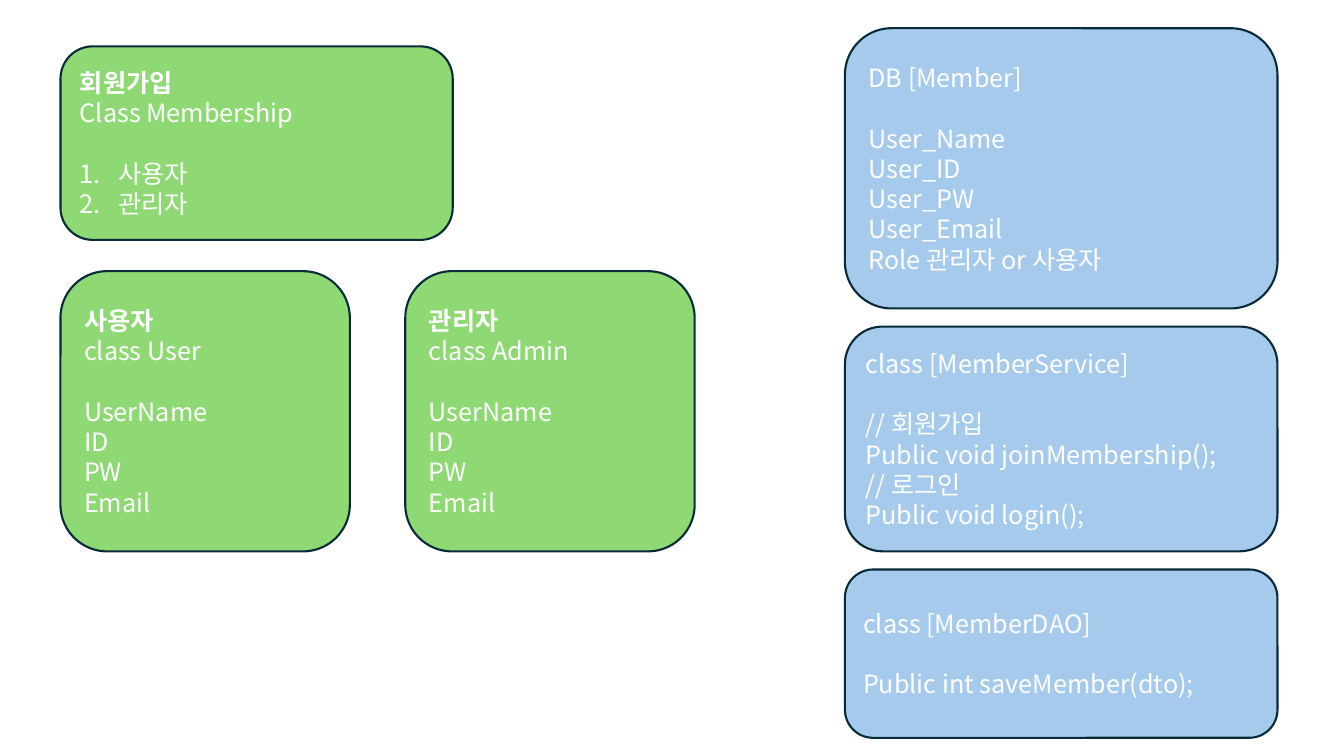
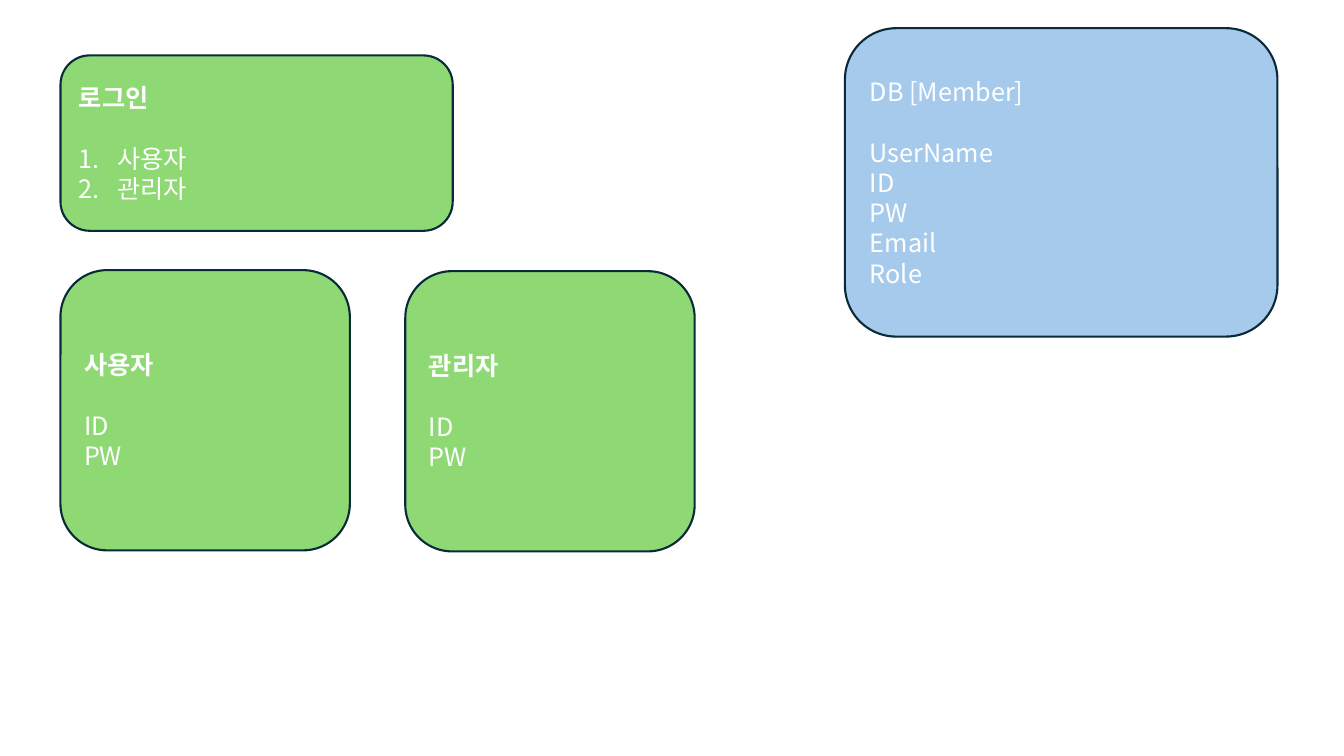
import pptx
import pptx.util
import pptx.dml.color
import pptx.enum.shapes
import pptx.enum.text
import pptx.oxml.ns
import lxml.etree
from dataclasses import dataclass

Inches = pptx.util.Inches
Pt = pptx.util.Pt
qn = pptx.oxml.ns.qn


@dataclass(frozen=True)
class Theme:
    green: str = "8ED973"
    blue: str = "A6CAEC"
    edge: str = "092A39"
    ink: str = "FFFFFF"
    font: str = "Noto Sans CJK KR"
    size: float = 18
    lead: float = 21.6
    border: float = 1.5
    indent: float = 0.38


THEME = Theme()

# Columns: left, width
WIDE = (0.6, 3.89)
USER = (0.6, 2.87)
ADMIN = (4.02, 2.87)
CODE = (8.38, 4.29)

# Card: column, top, height, fill, bold title, other head lines, body, numbered
ROLES = ["사용자", "관리자"]
LOGIN = ["ID", "PW"]
FIELDS = ["UserName", *LOGIN, "Email"]
SLIDES = [
    [
        (WIDE, 0.46, 1.92, THEME.green, "회원가입", ["Class Membership"], ROLES, True),
        (USER, 2.69, 2.78, THEME.green, "사용자", ["class User"], FIELDS, False),
        (ADMIN, 2.69, 2.78, THEME.green, "관리자", ["class Admin"], FIELDS, False),
        (CODE, 0.28, 2.78, THEME.blue, None, ["DB [Member]"],
         ["User_Name", "User_ID", "User_PW", "User_Email",
          "Role 관리자 or 사용자"], False),
        (CODE, 3.24, 2.23, THEME.blue, None, ["class [MemberService]"],
         ["// 회원가입", "Public void joinMembership();",
          "// 로그인", "Public void login();"], False),
        (CODE, 5.65, 1.67, THEME.blue, None, ["class [MemberDAO]"],
         ["Public int saveMember(dto);"], False),
    ],
    [
        (WIDE, 0.55, 1.74, THEME.green, "로그인", [], ROLES, True),
        (CODE, 0.28, 3.06, THEME.blue, None, ["DB [Member]"],
         [*FIELDS, "Role"], False),
        (USER, 2.68, 2.78, THEME.green, "사용자", [], LOGIN, False),
        (ADMIN, 2.69, 2.78, THEME.green, "관리자", [], LOGIN, False),
    ],
]


def color(code):
    return pptx.dml.color.RGBColor.from_string(code)


def number(para):
    """Turn a paragraph into an item of a numbered list."""
    props = para._p.get_or_add_pPr()
    props.set("marL", str(Inches(THEME.indent)))
    props.set("indent", str(-Inches(THEME.indent)))
    mark = lxml.etree.SubElement(props, qn("a:buAutoNum"))
    mark.set("type", "arabicPeriod")


def write(para, text, bold):
    para.alignment = pptx.enum.text.PP_ALIGN.LEFT
    para.line_spacing = Pt(THEME.lead)
    run = para.add_run()
    run.text = text
    font = run.font
    font.name = THEME.font
    font.size = Pt(THEME.size)
    font.bold = bold
    font.color.rgb = color(THEME.ink)
    east = lxml.etree.SubElement(run._r.get_or_add_rPr(), qn("a:ea"))
    east.set("typeface", THEME.font)


def card(slide, column, top, height, fill, title, head, body, listed):
    left, width = column
    shape = slide.shapes.add_shape(
        pptx.enum.shapes.MSO_SHAPE.ROUNDED_RECTANGLE,
        Inches(left), Inches(top), Inches(width), Inches(height))
    shape.shadow.inherit = False
    shape.fill.solid()
    shape.fill.fore_color.rgb = color(fill)
    shape.line.color.rgb = color(THEME.edge)
    shape.line.width = Pt(THEME.border)

    frame = shape.text_frame
    frame.word_wrap = True
    frame.vertical_anchor = pptx.enum.text.MSO_ANCHOR.MIDDLE
    heads = ([title] if title else []) + head
    for i, text in enumerate(heads + body):
        para = frame.add_paragraph() if i else frame.paragraphs[0]
        write(para, text, bool(title) and i == 0)
        if i == len(heads) - 1:
            para.space_after = Pt(THEME.lead)
        if listed and i >= len(heads):
            number(para)


def main():
    deck = pptx.Presentation()
    deck.slide_width = Inches(13.33)
    deck.slide_height = Inches(7.5)
    for cards in SLIDES:
        slide = deck.slides.add_slide(deck.slide_layouts[6])
        for item in cards:
            card(slide, *item)
    deck.save("out.pptx")


if __name__ == "__main__":
    main()
